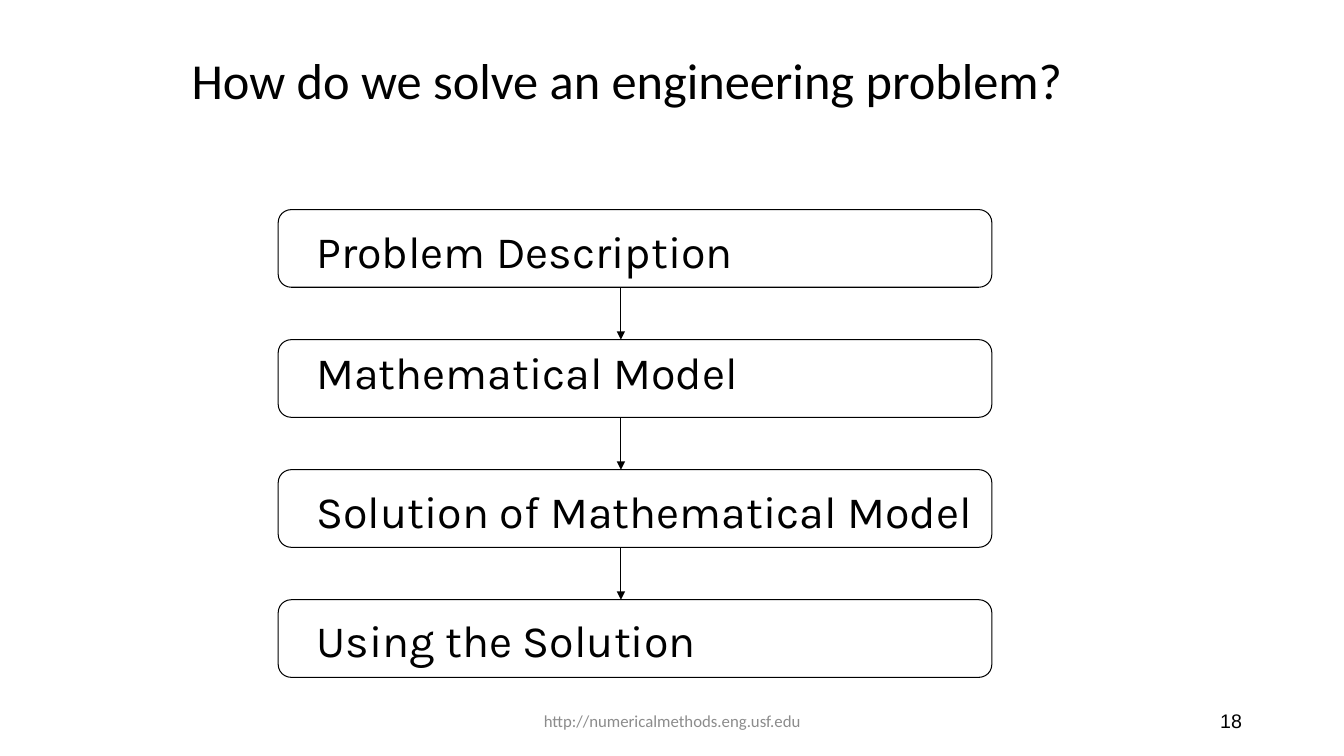
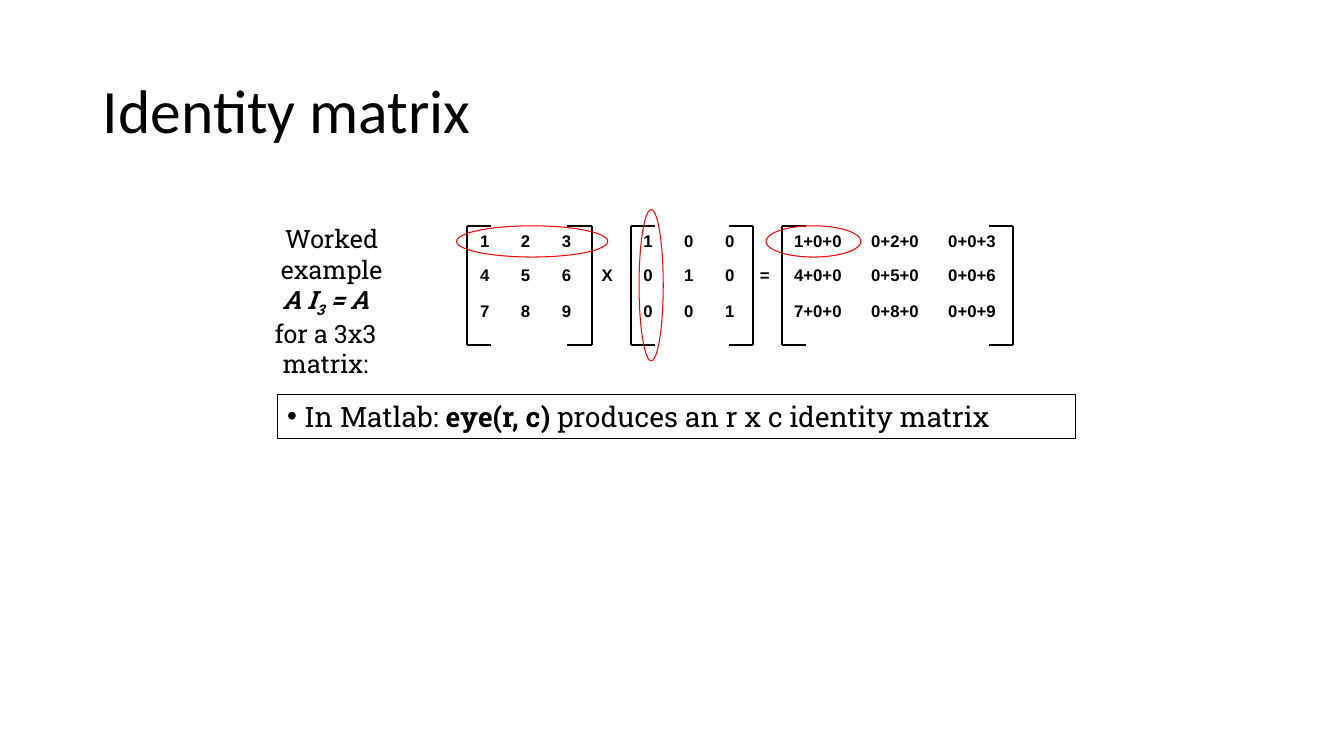
"""Build two slides: a problem-solving flow chart and an identity matrix example."""
from lxml import etree
from pptx import Presentation
from pptx.dml.color import RGBColor as RGB
from pptx.enum.shapes import MSO_CONNECTOR as LINK, MSO_SHAPE as SHAPE
from pptx.enum.text import MSO_ANCHOR as ANCHOR, MSO_AUTO_SIZE as FIT, PP_ALIGN as ALIGN
from pptx.oxml.ns import qn
from pptx.util import Inches, Pt

HUES = {"ink": "000000", "paper": "FFFFFF", "mute": "8C8C8C", "ring": "FF0000"}
FONTS = {
    "foot": {"name": "Calibri", "size": Pt(12)},
    "page": {"name": "Arial", "size": Pt(14)},
    "step": {"name": "Karla", "size": Pt(32)},
    "cell": {"name": "Arial", "size": Pt(12), "bold": True},
    "note": {"name": "Roboto Slab", "size": Pt(18)},
    "code": {"name": "Roboto Slab", "size": Pt(20)},
}


def write(par, text, style, align=ALIGN.LEFT, hue="ink", **extra):
    """Add a styled run to a paragraph and return it."""
    par.alignment = align
    run = par.add_run()
    run.text = text
    for key, value in {**style, **extra}.items():
        setattr(run.font, key, value)
    run.font.color.rgb = RGB.from_string(HUES[hue])
    return run


def trim(shape, hue="ink", width=0.75, fill=None):
    """Set the outline of a shape or connector, its fill, and drop its shadow."""
    shape.line.color.rgb = RGB.from_string(HUES[hue])
    shape.line.width = Pt(width)
    if not hasattr(shape, "fill"):
        etree.SubElement(shape._element.spPr, qn("a:effectLst"))
        return
    shape.shadow.inherit = False
    if fill:
        shape.fill.solid()
        shape.fill.fore_color.rgb = RGB.from_string(HUES[fill])
    else:
        shape.fill.background()


deck = Presentation()
deck.slide_width, deck.slide_height = Inches(40 / 3), Inches(7.5)

heads = [
    ("How do we solve an engineering problem?", 36, (1.8, 0.2, 9, 1.25)),
    ("Identity matrix", 44, (0.92, 0.4, 11.5, 1.45)),
]
slides = []
for text, size, area in heads:
    slide = deck.slides.add_slide(deck.slide_layouts[5])
    title = slide.shapes.title
    title.left, title.top, title.width, title.height = map(Inches, area)
    frame = title.text_frame
    frame.auto_size, frame.vertical_anchor = FIT.NONE, ANCHOR.MIDDLE
    par = frame.paragraphs[0]
    par.line_spacing = 0.9
    write(par, text, {"name": "Calibri", "size": Pt(size)})
    slides.append(slide)
flow, matrix = (slide.shapes for slide in slides)

feet = [
    ("http://numericalmethods.eng.usf.edu", "foot", 4.42, 4.5, ALIGN.CENTER, "mute"),
    ("18", "page", 9.42, 3, ALIGN.RIGHT, "ink"),
]
for text, kind, left, width, align, hue in feet:
    box = flow.add_textbox(Inches(left), Inches(6.95), Inches(width), Inches(0.4))
    frame = box.text_frame
    frame.word_wrap, frame.vertical_anchor = True, ANCHOR.MIDDLE
    write(frame.paragraphs[0], text, FONTS[kind], align, hue)

steps = [
    ("Problem Description", 0.1),
    ("Mathematical Model", 0.01),
    ("Solution of Mathematical Model", 0.1),
    ("Using the Solution", 0.09),
]
first, pitch, tall, mid = 2.08, 1.29, 0.77, 6.16
for row, (text, inset) in enumerate(steps):
    top = first + row * pitch
    box = flow.add_shape(SHAPE.FLOWCHART_ALTERNATE_PROCESS,
                         Inches(2.76), Inches(top), Inches(7.08), Inches(tall))
    trim(box, fill="paper")
    frame = box.text_frame
    frame.word_wrap, frame.vertical_anchor = True, ANCHOR.TOP
    frame.margin_left, frame.margin_top = Inches(0.34), Inches(inset)
    frame.margin_right = frame.margin_bottom = 0
    write(frame.paragraphs[0], text, FONTS["step"])
    if row:
        arrow = flow.add_connector(LINK.STRAIGHT, Inches(mid), Inches(top - pitch + tall),
                                   Inches(mid), Inches(top))
        trim(arrow)
        etree.SubElement(arrow.line._get_or_add_ln(), qn("a:tailEnd"), type="triangle")

rows = [
    ["1", "2", "3", "", "1", "0", "0", "", "1+0+0", "0+2+0", "0+0+3"],
    ["4", "5", "6", "X", "0", "1", "0", "=", "4+0+0", "0+5+0", "0+0+6"],
    ["7", "8", "9", "", "0", "0", "1", "", "7+0+0", "0+8+0", "0+0+9"],
]
wide = [0.4, 0.41] * 3 + [0.4, 0.29, 0.77, 0.76, 0.77]
high = [0.32, 0.34, 0.38]
table = matrix.add_table(len(high), len(wide), Inches(4.61), Inches(2.24),
                         Inches(sum(wide)), Inches(sum(high))).table
table.first_row = table.horz_banding = False
for col, width in zip(table.columns, wide):
    col.width = Inches(width)
for line, height, texts in zip(table.rows, high, rows):
    line.height = Inches(height)
    for col, (cell, text) in enumerate(zip(line.cells, texts)):
        cell.vertical_anchor = ANCHOR.MIDDLE
        if col in (3, 7):
            cell.fill.background()
        else:
            cell.fill.solid()
            cell.fill.fore_color.rgb = RGB.from_string(HUES["paper"])
        par = cell.text_frame.paragraphs[0]
        par.font.size = Pt(12)
        if text:
            write(par, text, FONTS["cell"], ALIGN.CENTER)

top, base, hook = 2.24, 3.42, 0.24
for left, right in [(4.63, 5.87), (6.26, 7.47), (7.76, 10.05)]:
    for edge, tip in [(left, left + hook), (right, right - hook)]:
        for ends in [(edge, top, edge, base), (edge, top, tip, top), (edge, base, tip, base)]:
            trim(matrix.add_connector(LINK.STRAIGHT, *map(Inches, ends)), width=1.25)

for area in [(4.53, 2.24, 1.5, 0.31), (6.34, 2.08, 0.24, 1.5), (7.6, 2.24, 0.94, 0.31)]:
    trim(matrix.add_shape(SHAPE.OVAL, *map(Inches, area)), "ring")

note = matrix.add_textbox(Inches(2.25), Inches(2.17), Inches(2.08), Inches(1.62))
frame = note.text_frame
frame.word_wrap = True
write(frame.paragraphs[0], "Worked example", FONTS["note"], ALIGN.CENTER)
par = frame.add_paragraph()
par._p.get_or_add_pPr().set("marR", str(Inches(0.12)))
for text, shift in [("A I", 0), ("3", -25000), (" = A", 0)]:
    run = write(par, text, FONTS["note"], ALIGN.CENTER, bold=True, italic=True)
    if shift:
        run._r.get_or_add_rPr().set("baseline", str(shift))
write(frame.add_paragraph(), "for a 3x3 matrix:", FONTS["note"], ALIGN.CENTER)

box = matrix.add_shape(SHAPE.RECTANGLE, Inches(2.75), Inches(3.91), Inches(7.92), Inches(0.44))
trim(box)
frame = box.text_frame
frame.word_wrap, frame.vertical_anchor = True, ANCHOR.TOP
par = frame.paragraphs[0]
props = par._p.get_or_add_pPr()
props.set("marL", str(Inches(0.17)))
props.set("indent", str(Inches(-0.17)))
etree.SubElement(props, qn("a:buFont"), typeface="Arial")
etree.SubElement(props, qn("a:buChar"), char="•")
for text, bold in [("In Matlab: ", False), ("eye(r, c)", True),
                   (" produces an r x c identity matrix", False)]:
    write(par, text, FONTS["code"], bold=bold)

deck.save("out.pptx")
